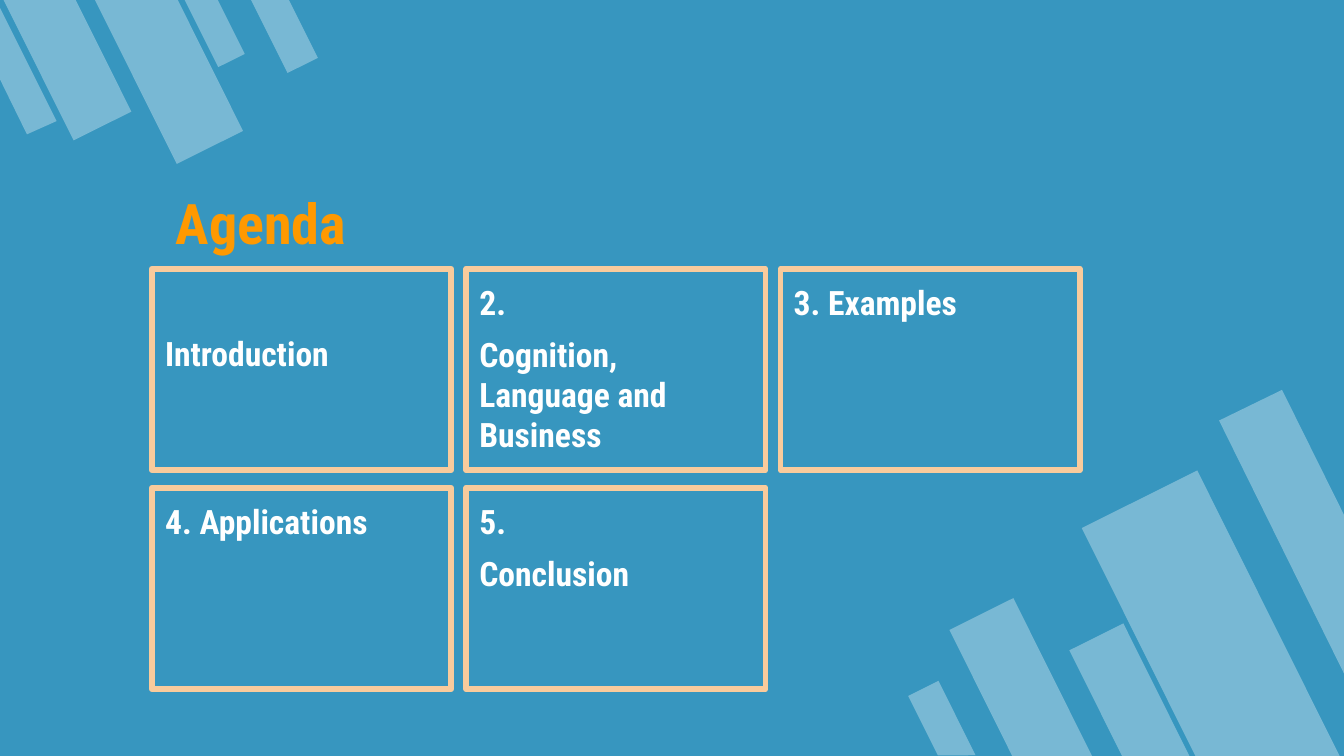
import pptx
import pptx.util
import pptx.dml.color
import pptx.enum.shapes
import pptx.enum.text
import pptx.oxml.ns
import lxml.etree

Cm, Pt = pptx.util.Cm, pptx.util.Pt
qn = pptx.oxml.ns.qn
SHAPE = pptx.enum.shapes.MSO_SHAPE
ANCHOR = pptx.enum.text.MSO_ANCHOR

# Content
HEADING = "Agenda"
# Each topic: its lines and the extra room above them (cm)
TOPICS = [
    (["Introduction"], 0.97),
    (["2.", "Cognition, Language and Business"], 0),
    (["3. Examples"], 0),
    (["4. Applications"], 0),
    (["5.", "Conclusion"], 0),
]
COLORS = {"background": "3796BF", "bar": "FFFFFF", "heading": "FF9900",
          "frame": "F9CB9C", "topic": "FFFFFF"}
FONT = "Roboto Condensed"
BAR_OPACITY = 33

# Slanted bars in two corners: rotation, boxes, and the bar cut by the slide edge (cm)
BAR_GROUPS = [
    (153.5,
     [(18.62, 11.43, 1.35, 3.35), (21.67, 9.12, 2.44, 6.07),
      (20.78, 11.89, 1.14, 2.82), (17.48, 12.93, 0.64, 1.57)],
     [(24.23, 7.37), (23.04, 7.95), (25.4, 12.73), (25.4, 9.73)]),
    (333.5,
     [(3.78, -0.2, 0.56, 1.42), (0.66, -0.46, 1.22, 3),
      (2.49, -0.51, 1.4, 3.48), (5.05, -0.25, 0.64, 1.57)],
     [(0.51, 2.54), (1.07, 2.29), (0, 0.15), (0, 1.5)]),
]

# Topic grid (cm)
COLUMNS = 3
GRID_LEFT, GRID_TOP = 2.87, 5.08
CARD_WIDTH, CARD_HEIGHT = 5.66, 3.81
GAP_X, GAP_Y = 0.28, 0.33
INSET = 0.25


def rgb(name):
    return pptx.dml.color.RGBColor.from_string(COLORS[name])


def paint_bar(bar):
    bar.shadow.inherit = False
    bar.fill.solid()
    bar.fill.fore_color.rgb = rgb("bar")
    color = bar._element.spPr.find(qn("a:solidFill"))[0]
    alpha = lxml.etree.SubElement(color, qn("a:alpha"))
    alpha.set("val", str(BAR_OPACITY * 1000))
    bar.line.fill.background()


def write(frame, lines, size, color, anchor, extra_top=0, space=0):
    frame.word_wrap = True
    frame.vertical_anchor = anchor
    frame.margin_left = frame.margin_right = frame.margin_bottom = Cm(INSET)
    frame.margin_top = Cm(INSET + extra_top)
    frame.text = "\n".join(lines)
    for paragraph in frame.paragraphs:
        paragraph.alignment = pptx.enum.text.PP_ALIGN.LEFT
        paragraph.space_before = Pt(space)
        for run in paragraph.runs:
            run.font.name = FONT
            run.font.size = Pt(size)
            run.font.bold = True
            run.font.color.rgb = rgb(color)


deck = pptx.Presentation()
deck.slide_width, deck.slide_height = Cm(25.4), Cm(14.29)
slide = deck.slides.add_slide(deck.slide_layouts[6])
slide.background.fill.solid()
slide.background.fill.fore_color.rgb = rgb("background")

# Corner bars
for rotation, boxes, cut_outline in BAR_GROUPS:
    for box in boxes:
        bar = slide.shapes.add_shape(SHAPE.FLOWCHART_MANUAL_INPUT, *map(Cm, box))
        bar.rotation = rotation
        bar._element.spPr.find(qn("a:xfrm")).set("flipH", "1")
        paint_bar(bar)
    start, *corners = [(Cm(x), Cm(y)) for x, y in cut_outline]
    outline = slide.shapes.build_freeform(*start)
    outline.add_line_segments(corners, close=True)
    paint_bar(outline.convert_to_shape())

# Heading
heading = slide.shapes.add_textbox(Cm(3.07), Cm(3.2), Cm(17.55), Cm(1.88))
write(heading.text_frame, [HEADING], 30, "heading", ANCHOR.BOTTOM)

# Topic cards
for index, (lines, extra_top) in enumerate(TOPICS):
    row, column = divmod(index, COLUMNS)
    card = slide.shapes.add_shape(
        SHAPE.RECTANGLE,
        Cm(GRID_LEFT + column * (CARD_WIDTH + GAP_X)),
        Cm(GRID_TOP + row * (CARD_HEIGHT + GAP_Y)),
        Cm(CARD_WIDTH), Cm(CARD_HEIGHT))
    card.shadow.inherit = False
    card.fill.background()
    card.line.color.rgb = rgb("frame")
    card.line.width = Pt(3)
    lxml.etree.SubElement(card._element.spPr.find(qn("a:ln")), qn("a:round"))
    write(card.text_frame, lines, 18, "topic", ANCHOR.TOP, extra_top, space=6)

deck.save("out.pptx")
